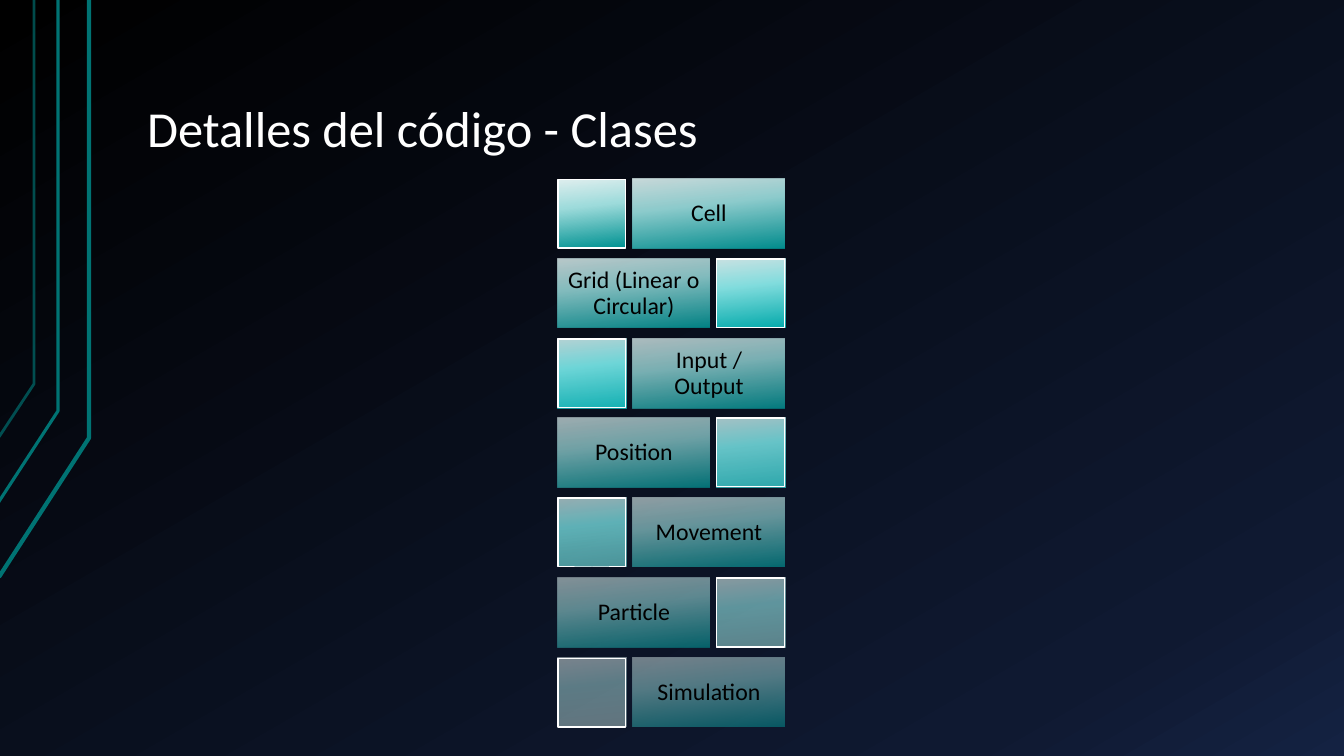
from dataclasses import dataclass
from lxml.etree import SubElement
from pptx import Presentation
from pptx.dml.color import RGBColor
from pptx.enum.shapes import MSO_SHAPE
from pptx.enum.text import MSO_ANCHOR as Anchor, PP_ALIGN as Align
from pptx.oxml import parse_xml
from pptx.oxml.ns import nsdecls, qn
from pptx.util import Emu, Pt

EMU_PER_PX = 914400 / 100.8


@dataclass(frozen=True)
class Theme:
    font: str = "Calibri"
    title_size: float = 36
    label_size: float = 17
    title_color: str = "FFFFFF"
    label_color: str = "000000"
    accent: str = "007373"
    tile_border: str = "FFFFFF"
    backdrop: tuple = ((0, "000000"), (85, "0F1931"), (100, "142242"))
    bar: tuple = ("DEEFEF", "9ADFDF", "009999")
    stops: tuple = (0, 40, 100)
    bar_angle: int = 84
    backdrop_angle: int = 60


THEME = Theme()

# Class name, bar opacity, tile colours, tile opacity
CLASSES = [
    ("Cell", 90, ("DFEEEE", "9DDBDB", "009292"), 100),
    ("Grid (Linear o Circular)", 83, ("DCF4F4", "8DEFEF", "04B8B8"), 92),
    ("Input / Output", 77, ("DAFAFA", "83FFFF", "15D1D1"), 83),
    ("Position", 70, ("DAFCFC", "85FFFF", "39D8D8"), 75),
    ("Movement", 63, ("DFF9F9", "88FFFF", "6AD1D1"), 67),
    ("Particle", 57, ("E5F7F7", "9BF2F2", "95D0D0"), 58),
    ("Simulation", 50, ("EBF6F6", "AFE5E5", "BAD5D5"), 50),
]

# Corner lines: points, width in points, opacity
CORNER_LINES = [
    (((-1, 577), (89, 438), (89, 0)), 3, 100),
    (((-2, 503), (58, 411), (58, 0)), 2.25, 100),
    (((-1, 437), (34, 384), (34, 0)), 2, 65),
]

# Zigzag of bars and tiles
LEFT, RIGHT, TOP, PITCH = 558, 785, 179, 79.8
BAR_WIDTH, TILE_WIDTH, ROW_HEIGHT = 152, 68, 69


def px(value):
    return Emu(round(value * EMU_PER_PX))


def rgb(color):
    return RGBColor.from_string(color)


def set_gradient(fill, parent, stops, angle, opacity=100):
    """Put a linear gradient where the solid fill of parent stands."""
    fill.solid()
    marks = "".join(
        f'<a:gs pos="{pos * 1000}"><a:srgbClr val="{color}">'
        f'<a:alpha val="{opacity * 1000}"/></a:srgbClr></a:gs>'
        for pos, color in stops)
    gradient = parse_xml(
        f'<a:gradFill {nsdecls("a")} rotWithShape="1"><a:gsLst>{marks}</a:gsLst>'
        f'<a:lin ang="{angle * 60000}" scaled="0"/></a:gradFill>')
    parent.replace(parent.find(qn("a:solidFill")), gradient)


def write(frame, text, size, color, align, anchor, inset_x, inset_y):
    frame.word_wrap = True
    frame.vertical_anchor = anchor
    frame.margin_left = frame.margin_right = px(inset_x)
    frame.margin_top = frame.margin_bottom = px(inset_y)
    paragraph = frame.paragraphs[0]
    paragraph.alignment = align
    paragraph.line_spacing = 0.9
    run = paragraph.add_run()
    run.text = text
    run.font.name = THEME.font
    run.font.size = Pt(size)
    run.font.color.rgb = rgb(color)


def add_corner_line(slide, points, width, opacity):
    builder = slide.shapes.build_freeform(*points[0], scale=EMU_PER_PX)
    builder.add_line_segments(points[1:], close=False)
    corner = builder.convert_to_shape()
    corner.shadow.inherit = False
    corner.fill.background()
    corner.line.color.rgb = rgb(THEME.accent)
    corner.line.width = Pt(width)
    if opacity < 100:
        color = corner.line._ln.find(".//" + qn("a:srgbClr"))
        SubElement(color, qn("a:alpha")).set("val", str(opacity * 1000))


def add_block(slide, left, top, width, colors, opacity):
    block = slide.shapes.add_shape(
        MSO_SHAPE.RECTANGLE, px(left), px(top), px(width), px(ROW_HEIGHT))
    block.shadow.inherit = False
    block.line.fill.background()
    set_gradient(block.fill, block._element.spPr, zip(THEME.stops, colors),
                 THEME.bar_angle, opacity)
    return block


def add_class_row(slide, index, name, bar_opacity, tile_colors, tile_opacity):
    top = round(TOP + index * PITCH)
    bar_left, tile_left = LEFT, RIGHT - TILE_WIDTH
    if index % 2 == 0:
        bar_left, tile_left = RIGHT - BAR_WIDTH, LEFT
    bar = add_block(slide, bar_left, top, BAR_WIDTH, THEME.bar, bar_opacity)
    write(bar.text_frame, name, THEME.label_size, THEME.label_color,
          Align.CENTER, Anchor.MIDDLE, 7, 7)
    tile = add_block(slide, tile_left, top, TILE_WIDTH, tile_colors, tile_opacity)
    tile.line.color.rgb = rgb(THEME.tile_border)
    tile.line.width = Pt(0.75)


def set_title(slide, text):
    title = slide.shapes.title
    title.left, title.top, title.width, title.height = map(px, (134, 30, 1142, 135))
    write(title.text_frame, text, THEME.title_size, THEME.title_color,
          Align.LEFT, Anchor.BOTTOM, 13, 7)


def main():
    deck = Presentation()
    deck.slide_width, deck.slide_height = px(1344), px(756)
    slide = deck.slides.add_slide(deck.slide_layouts[5])

    # Backdrop and corner lines
    backdrop = slide.background.fill
    backdrop.solid()
    set_gradient(backdrop, slide._element.find(".//" + qn("p:bgPr")),
                 THEME.backdrop, THEME.backdrop_angle)
    for corner in CORNER_LINES:
        add_corner_line(slide, *corner)

    # Title and class list
    set_title(slide, "Detalles del código - Clases")
    for index, entry in enumerate(CLASSES):
        add_class_row(slide, index, *entry)

    deck.save("out.pptx")


main()
